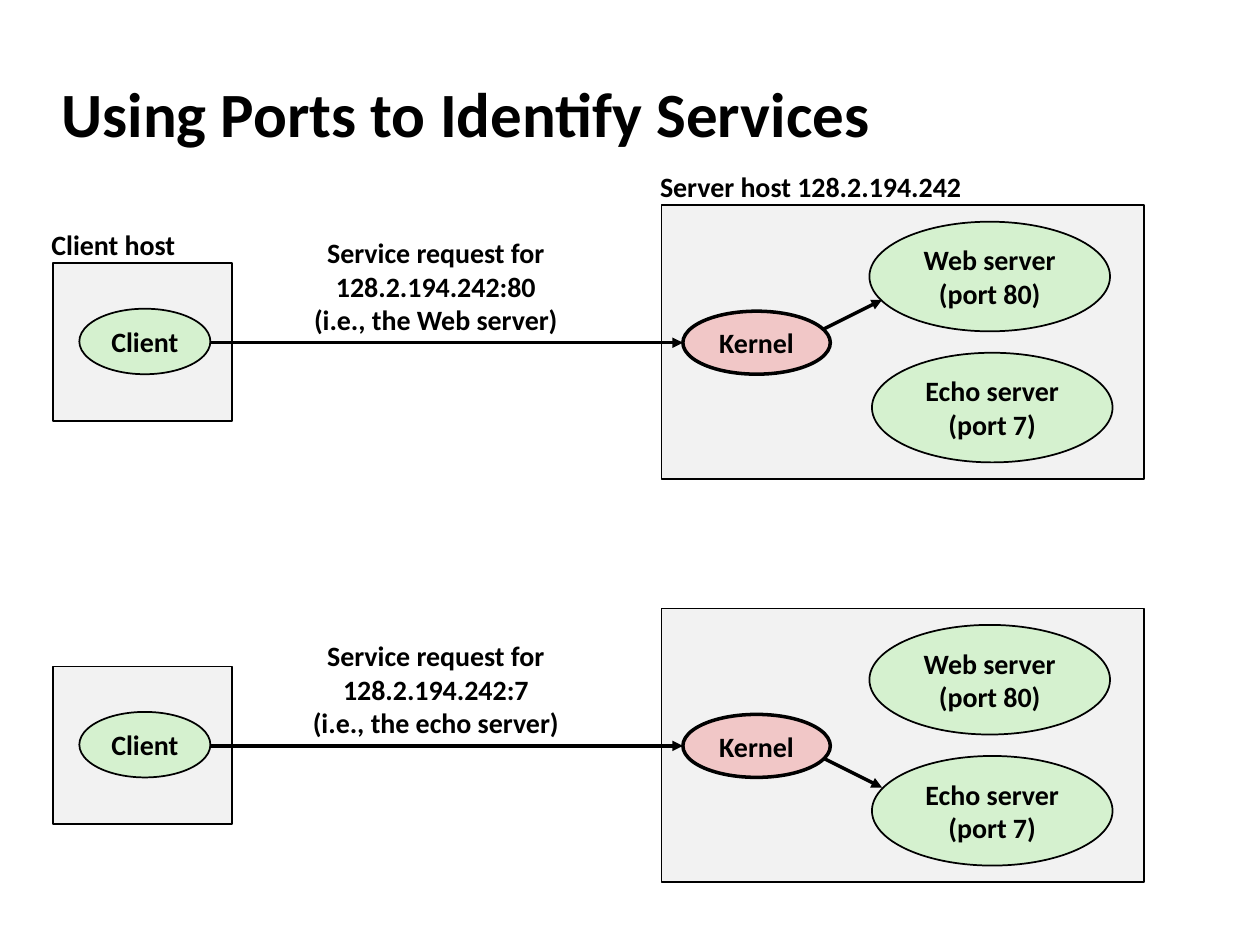
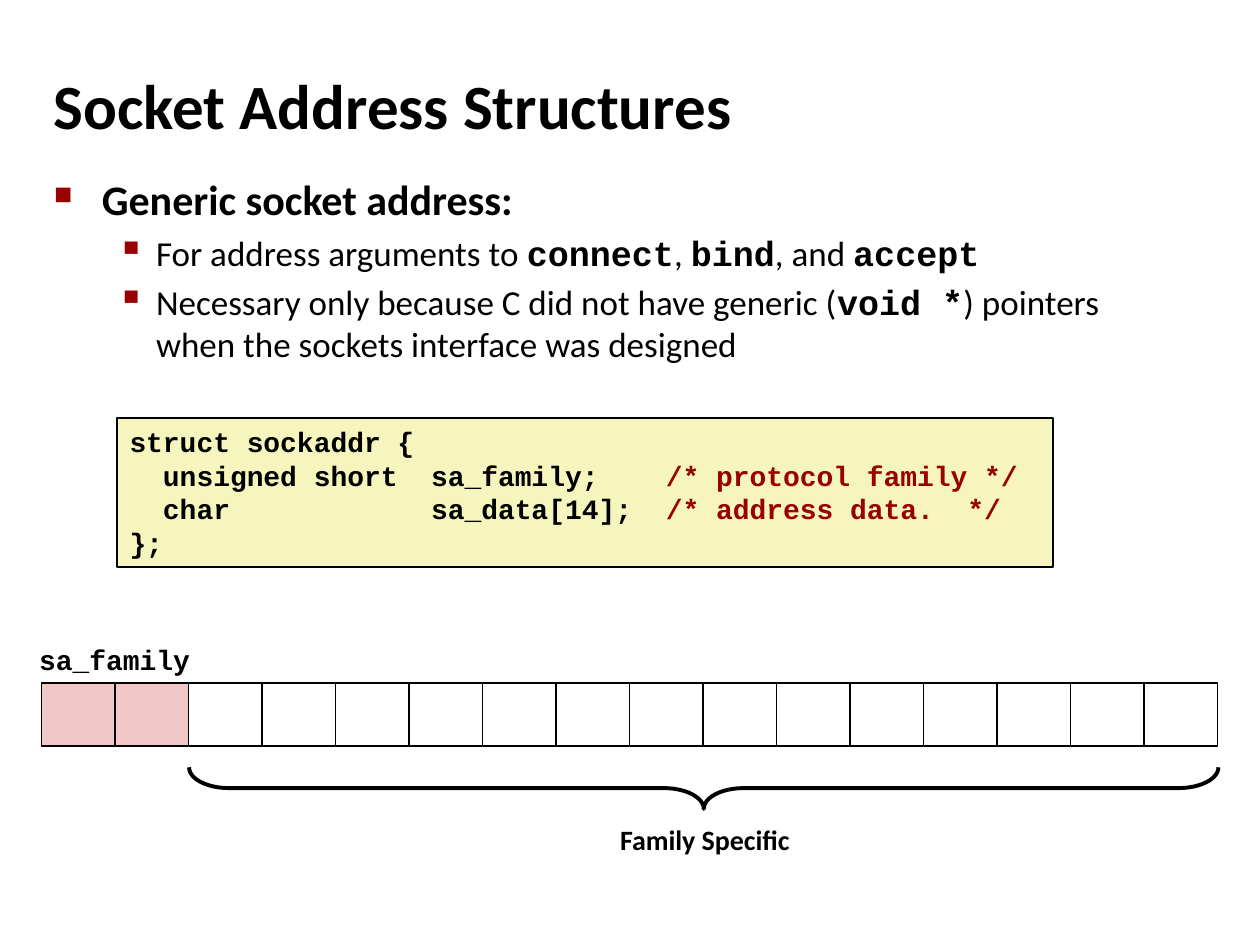
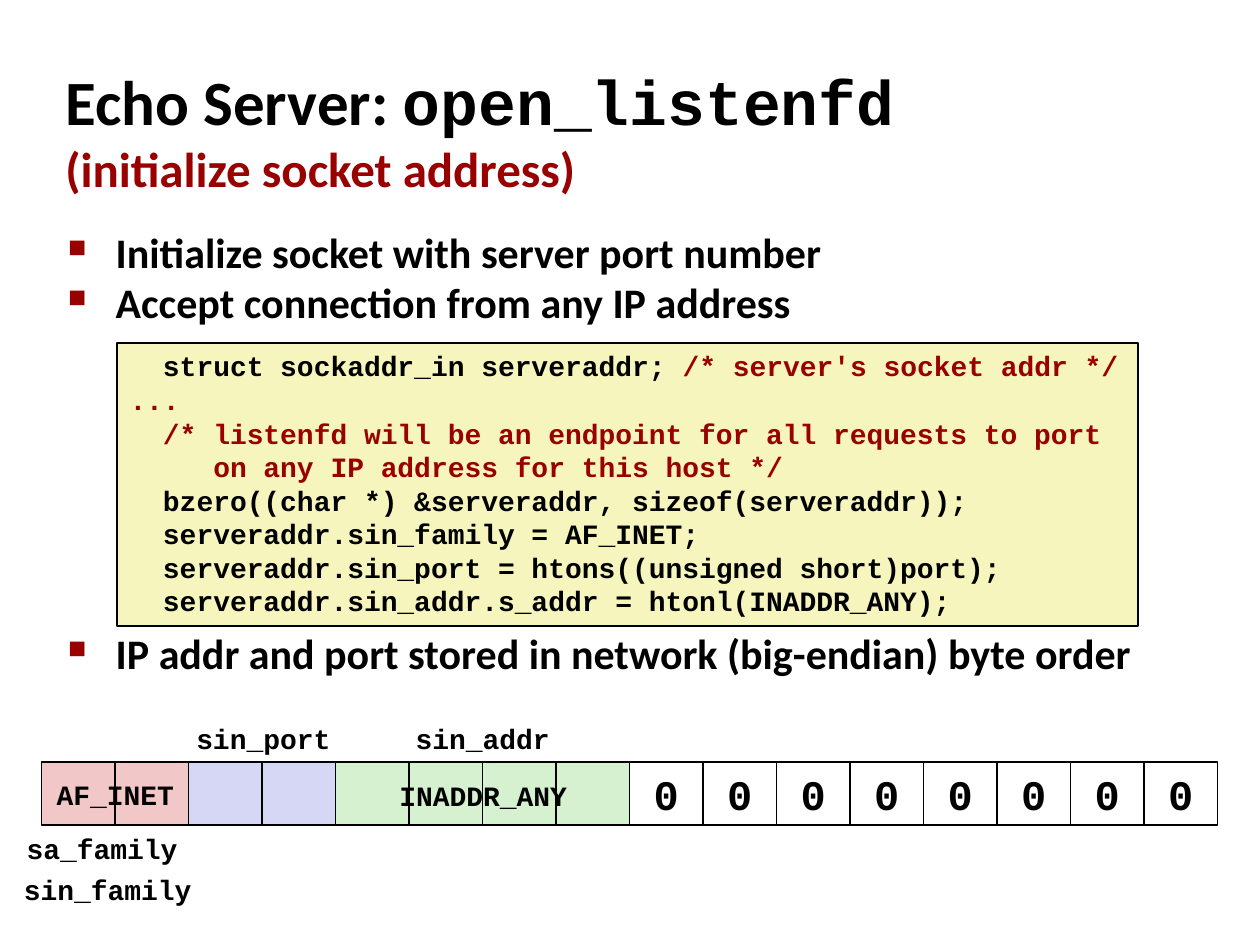
from lxml import etree
from pptx import Presentation
from pptx.dml.color import RGBColor
from pptx.enum.shapes import MSO_CONNECTOR, MSO_SHAPE
from pptx.enum.text import MSO_ANCHOR, PP_ALIGN
from pptx.oxml.ns import qn
from pptx.util import Inches, Pt

RECT, OVAL, BRACE = MSO_SHAPE.RECTANGLE, MSO_SHAPE.OVAL, MSO_SHAPE.RIGHT_BRACE
STRAIGHT = MSO_CONNECTOR.STRAIGHT
LEFT, CENTER = PP_ALIGN.LEFT, PP_ALIGN.CENTER
TOP, MIDDLE = MSO_ANCHOR.TOP, MSO_ANCHOR.MIDDLE

COLORS = {
    "black": "000000", "white": "FFFFFF", "red": "990000", "host": "F2F2F2",
    "green": "D5F1CF", "pink": "F1C7C7", "lilac": "D6D6F5", "code": "F6F5BD",
}
SANS, MONO = "Calibri", "Courier New"


def font_format(name, size, bold=True, color="black"):
    return {"name": name, "size": Pt(size), "bold": bold, "color": color}


FORMATS = {
    "title": font_format(SANS, 36),
    "title code": font_format(MONO, 36),
    "subtitle": font_format(SANS, 28, color="red"),
    "point": font_format(SANS, 24),
    "detail": font_format(SANS, 20, bold=False),
    "detail code": font_format(MONO, 20),
    "label": font_format(SANS, 16),
    "code": font_format(MONO, 16),
    "comment": font_format(MONO, 16, color="red"),
    "byte": font_format(MONO, 24),
}
# Bullet character, size in percent, left margin and hanging indent by level
BULLETS = [("■", 60, 0.38, 0.38), ("▪", 110, 0.81, 0.31)]
CODE_LEADING = Pt(19.2)
BYTE_COUNT, BYTE_LEFT, BYTE_WIDTH, BYTE_HEIGHT = 16, 0.33, 7 / 12, 0.5


class Deck:
    def __init__(self):
        self.prs = Presentation()
        self.prs.slide_width, self.prs.slide_height = Inches(10), Inches(7.5)
        self.slide = None

    def new_slide(self, title, at):
        self.slide = self.prs.slides.add_slide(self.prs.slide_layouts[6])
        self.text(title, at, "title", anchor=MIDDLE, wrap=True)

    def fill_frame(self, frame, paragraphs, style, align=LEFT, anchor=TOP, wrap=False):
        """Fill a frame; a paragraph is a string or a list of (text, format) runs."""
        frame.word_wrap, frame.vertical_anchor = wrap, anchor
        for index, content in enumerate(paragraphs):
            paragraph = frame.paragraphs[0] if index == 0 else frame.add_paragraph()
            paragraph.alignment = align
            if style == "code":
                paragraph.line_spacing = CODE_LEADING
            runs = [(content, style)] if isinstance(content, str) else content
            for words, run_style in runs:
                run = paragraph.add_run()
                run.text = words
                for attribute, value in FORMATS[run_style].items():
                    if attribute == "color":
                        run.font.color.rgb = RGBColor.from_string(COLORS[value])
                    else:
                        setattr(run.font, attribute, value)

    def text(self, paragraphs, at, style, **layout):
        box = self.slide.shapes.add_textbox(*map(Inches, at))
        self.fill_frame(box.text_frame, paragraphs, style, **layout)
        return box

    def label(self, words, at, style="label"):
        self.text([words], at, style, align=CENTER)

    def bullets(self, items, at, spacing=1.0):
        """Add bulleted text from (level, paragraph) pairs."""
        box = self.text([content for _, content in items], at, "point", wrap=True)
        for index, paragraph in enumerate(box.text_frame.paragraphs):
            level = items[index][0]
            char, percent, margin, hang = BULLETS[level]
            paragraph.level = level
            paragraph.line_spacing = spacing
            paragraph.space_before = Pt(4 if index else 0)
            props = paragraph._p.get_or_add_pPr()
            props.set("marL", str(Inches(margin)))
            props.set("indent", str(-Inches(hang)))
            color = etree.SubElement(props, qn("a:buClr"))
            etree.SubElement(color, qn("a:srgbClr"), val=COLORS["red"])
            etree.SubElement(props, qn("a:buSzPct"), val=str(percent * 1000))
            etree.SubElement(props, qn("a:buChar"), char=char)

    def shape(self, kind, at, fill=None, weight=1):
        shape = self.slide.shapes.add_shape(kind, *map(Inches, at))
        shape.shadow.inherit = False
        if fill:
            shape.fill.solid()
            shape.fill.fore_color.rgb = RGBColor.from_string(COLORS[fill])
        else:
            shape.fill.background()
        shape.line.color.rgb = RGBColor.from_string(COLORS["black"])
        shape.line.width = Pt(weight)
        return shape

    def process(self, lines, at, fill="green", weight=1):
        oval = self.shape(OVAL, at, fill, weight)
        self.fill_frame(oval.text_frame, lines, "label", align=CENTER, anchor=MIDDLE)

    def code(self, lines, at):
        self.fill_frame(self.shape(RECT, at, "code").text_frame, lines, "code")

    def arrow(self, start, end):
        connector = self.slide.shapes.add_connector(STRAIGHT, *map(Inches, start + end))
        connector.line.color.rgb = RGBColor.from_string(COLORS["black"])
        connector.line.width = Pt(2)
        etree.SubElement(connector.get_or_add_ln(), qn("a:tailEnd"), type="triangle")
        etree.SubElement(connector._element.spPr, qn("a:effectLst"))

    def byte_row(self, top, fills, digits=None):
        """Draw the address bytes; digits maps a byte's index to its value."""
        for index in range(BYTE_COUNT):
            at = (BYTE_LEFT + index * BYTE_WIDTH, top, BYTE_WIDTH, BYTE_HEIGHT)
            cell = self.shape(RECT, at, fills[index])
            if digits and index in digits:
                self.fill_frame(cell.text_frame, [digits[index]], "byte",
                                align=CENTER, anchor=MIDDLE)


def ports_slide(deck):
    deck.new_slide(["Using Ports to Identify Services"], (0.39, 0.48, 8.3, 0.83))
    deck.text(["Client host"], (0.31, 1.76, 1.19, 0.37), "label")
    deck.text(["Server host 128.2.194.242"], (5.14, 1.3, 2.63, 0.37), "label")
    requests = [
        (0, "128.2.194.242:80", "(i.e., the Web server)", (6.5, 2.63), (7, 2.38)),
        (3.2, "128.2.194.242:7", "(i.e., the echo server)", (6.5, 2.8), (7, 3.05)),
    ]
    for drop, address, meaning, (x1, y1), (x2, y2) in requests:
        deck.shape(RECT, (0.42, 2.09 + drop, 1.42, 1.25), "host")
        deck.shape(RECT, (5.25, 1.63 + drop, 3.83, 2.17), "host")
        deck.process(["Web server", "(port 80)"], (6.9, 1.76 + drop, 1.91, 0.87))
        deck.process(["Echo server", "(port 7)"], (6.92, 2.8 + drop, 1.91, 0.87))
        deck.text(["Service request for", address, meaning],
                  (2.01, 1.82 + drop, 2.9, 0.9), "label", align=CENTER, wrap=True)
        deck.arrow((1.67, 2.72 + drop), (5.42, 2.72 + drop))
        deck.arrow((x1, y1 + drop), (x2, y2 + drop))
        deck.process(["Kernel"], (5.42, 2.47 + drop, 1.17, 0.5), "pink", 2)
        deck.process(["Client"], (0.63, 2.45 + drop, 1.04, 0.52))


def generic_address_slide(deck):
    deck.new_slide(["Socket Address Structures"], (0.33, 0.4, 9.53, 0.85))
    deck.bullets([
        (0, "Generic socket address:"),
        (1, [("For address arguments to ", "detail"), ("connect", "detail code"),
             (", ", "detail"), ("bind", "detail code"),
             (", and ", "detail"), ("accept", "detail code")]),
        (1, [("Necessary only because C did not have generic (", "detail"),
             ("void *", "detail code"),
             (") pointers when the sockets interface was designed", "detail")]),
    ], (0.33, 1.33, 9.09, 1.83))
    deck.code([
        "struct sockaddr {",
        [("  unsigned short  sa_family;    ", "code"),
         ("/* protocol family */", "comment")],
        [("  char            sa_data[14];  ", "code"),
         ("/* address data.  */", "comment")],
        "};",
    ], (0.93, 3.32, 7.43, 1.18))
    deck.byte_row(5.42, ["pink"] * 2 + [None] * 14)
    deck.label("sa_family", (0.21, 5.05, 1.4, 0.37), "code")
    deck.label("Family Specific", (4.81, 6.48, 1.57, 0.37))
    brace = deck.shape(BRACE, (5.42, 2.17, 0.33, 8.17), weight=2.25)
    brace.rotation = 90
    brace.adjustments[0], brace.adjustments[1] = 0.96, 0.5


def server_address_slide(deck):
    deck.new_slide([
        [("Echo Server: ", "title"), ("open_listenfd", "title code")],
        [("(initialize socket address)", "subtitle")],
    ], (0.42, 0.43, 8.58, 1.2))
    deck.bullets([(0, "Initialize socket with server port number"),
                  (0, "Accept connection from any IP address")],
                 (0.44, 1.81, 9.51, 0.9), 0.85)
    deck.bullets([(0, "IP addr and port stored in network (big-endian) byte order")],
                 (0.44, 4.99, 9.51, 0.5), 0.85)
    deck.code([
        [("  struct sockaddr_in serveraddr; ", "code"),
         ("/* server's socket addr */", "comment")],
        [("...", "comment")],
        [("  /* listenfd will be an endpoint for all requests to port", "comment")],
        [("     on any IP address for this host */", "comment")],
        "  bzero((char *) &serveraddr, sizeof(serveraddr));",
        "  serveraddr.sin_family = AF_INET;",
        "  serveraddr.sin_port = htons((unsigned short)port);",
        "  serveraddr.sin_addr.s_addr = htonl(INADDR_ANY);",
    ], (0.93, 2.72, 8.1, 2.25))
    fills = ["pink"] * 2 + ["lilac"] * 2 + ["green"] * 4 + ["white"] * 8
    deck.byte_row(6.05, fills, dict.fromkeys(range(8, BYTE_COUNT), "0"))
    fields = [
        ("sa_family", 0.1, 6.55, 1.42), ("sin_family", 0.08, 6.88, 1.55),
        ("sin_port", 1.45, 5.68, 1.28), ("sin_addr", 3.19, 5.68, 1.28),
        ("AF_INET", 0.34, 6.12, 1.15), ("INADDR_ANY", 3.06, 6.13, 1.55),
    ]
    for field, left, top, width in fields:
        deck.label(field, (left, top, width, 0.37), "code")


def main():
    deck = Deck()
    ports_slide(deck)
    generic_address_slide(deck)
    server_address_slide(deck)
    deck.prs.save("out.pptx")


if __name__ == "__main__":
    main()
